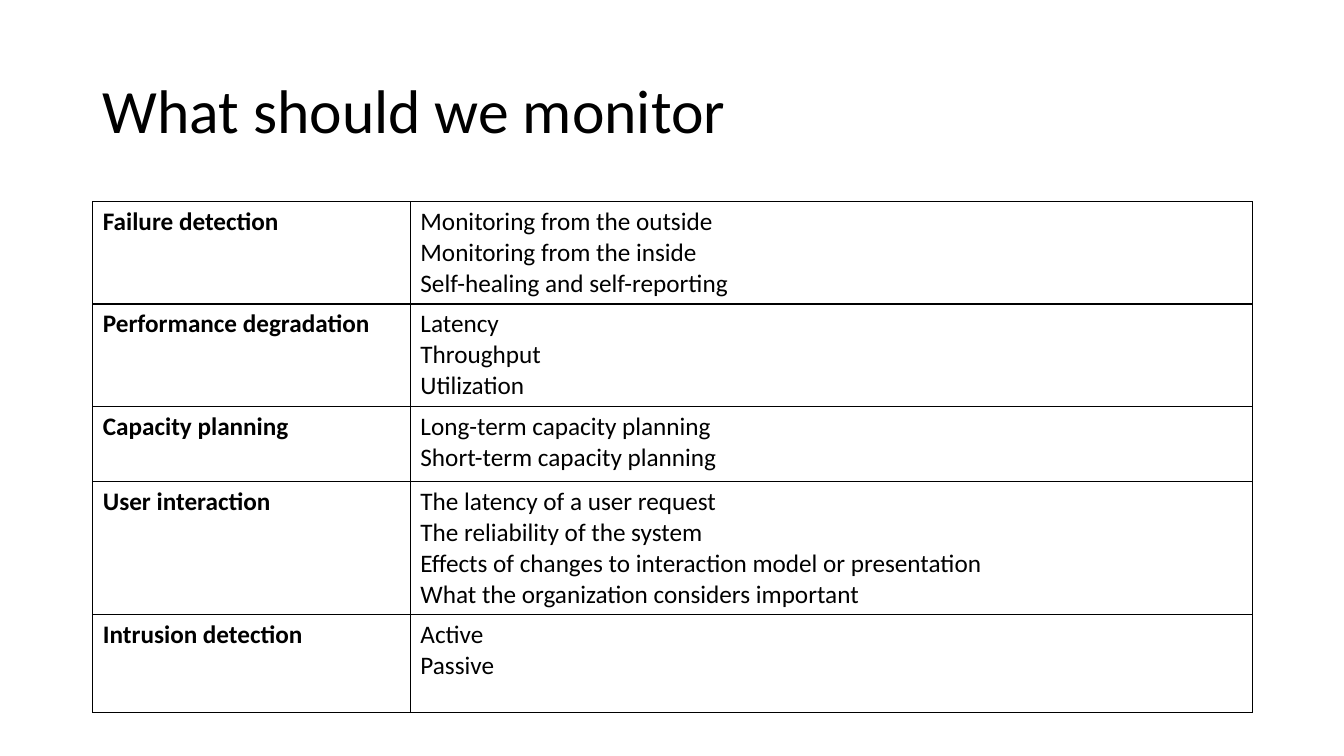
"""Build a slide with a table of the goals of monitoring."""
from dataclasses import dataclass

from lxml import etree
from pptx import Presentation
from pptx.dml.color import RGBColor
from pptx.enum.text import MSO_ANCHOR
from pptx.oxml.ns import qn
from pptx.util import Inches, Pt

TOP, MIDDLE = MSO_ANCHOR.TOP, MSO_ANCHOR.MIDDLE
BLACK = RGBColor(0, 0, 0)
FONT = "Calibri"
WIDE, HIGH = 13.33, 7.5
LEFT, SPAN = 0.92, 11.5
COLS = (3.15, SPAN - 3.15)
LINE, PAD = 0.305, 0.1


@dataclass(frozen=True)
class Goal:
    name: str
    items: tuple[str, ...]
    least: float = 0.97

    @property
    def height(self) -> float:
        return max(self.least, len(self.items) * LINE + PAD)


GOALS = (
    Goal("Failure detection", (
        "Monitoring from the outside",
        "Monitoring from the inside",
        "Self-healing and self-reporting")),
    Goal("Performance degradation", ("Latency", "Throughput", "Utilization")),
    Goal("Capacity planning", (
        "Long-term capacity planning",
        "Short-term capacity planning"), least=0.75),
    Goal("User interaction", (
        "The latency of a user request",
        "The reliability of the system",
        "Effects of changes to interaction model or presentation",
        "What the organization considers important")),
    Goal("Intrusion detection", ("Active", "Passive")),
)


def write(frame, lines: tuple[str, ...], *, size: float = 18,
          bold: bool = False, space: float = 1.0) -> None:
    """Fill a text frame with one paragraph per line."""
    frame.word_wrap = True
    for i, line in enumerate(lines):
        para = frame.add_paragraph() if i else frame.paragraphs[0]
        para.line_spacing = space
        run = para.add_run()
        run.text = line
        font = run.font
        font.name, font.size, font.bold = FONT, Pt(size), bold
        font.color.rgb = BLACK


def edge(cell) -> None:
    """Draw a thin black line on each side of a cell."""
    props = cell._tc.get_or_add_tcPr()
    for side in ("lnL", "lnR", "lnT", "lnB"):
        line = etree.SubElement(props, qn(f"a:{side}"), w=str(Pt(1)))
        fill = etree.SubElement(line, qn("a:solidFill"))
        etree.SubElement(fill, qn("a:srgbClr"), val=str(BLACK))


def draw_title(slide, text: str) -> None:
    """Place the title over the table."""
    box = slide.shapes.add_textbox(
        Inches(LEFT), Inches(0.4), Inches(SPAN), Inches(1.45))
    box.text_frame.vertical_anchor = MIDDLE
    write(box.text_frame, (text,), size=44, space=0.9)


def draw_table(slide, goals: tuple[Goal, ...]) -> None:
    """Draw one table row per goal."""
    total = sum(goal.height for goal in goals)
    table = slide.shapes.add_table(
        len(goals), len(COLS), Inches(LEFT), Inches(2),
        Inches(SPAN), Inches(total)).table
    table.first_row = table.horz_banding = False
    for col, width in zip(table.columns, COLS):
        col.width = Inches(width)
    for row, goal in zip(table.rows, goals):
        row.height = Inches(goal.height)
        for cell, lines, bold in zip(
                row.cells, ((goal.name,), goal.items), (True, False)):
            edge(cell)
            cell.fill.background()
            cell.vertical_anchor = TOP
            write(cell.text_frame, lines, bold=bold)


def main() -> None:
    """Make the deck and save it."""
    deck = Presentation()
    deck.slide_width, deck.slide_height = Inches(WIDE), Inches(HIGH)
    slide = deck.slides.add_slide(deck.slide_layouts[6])
    draw_title(slide, "What should we monitor")
    draw_table(slide, GOALS)
    deck.save("out.pptx")


main()
